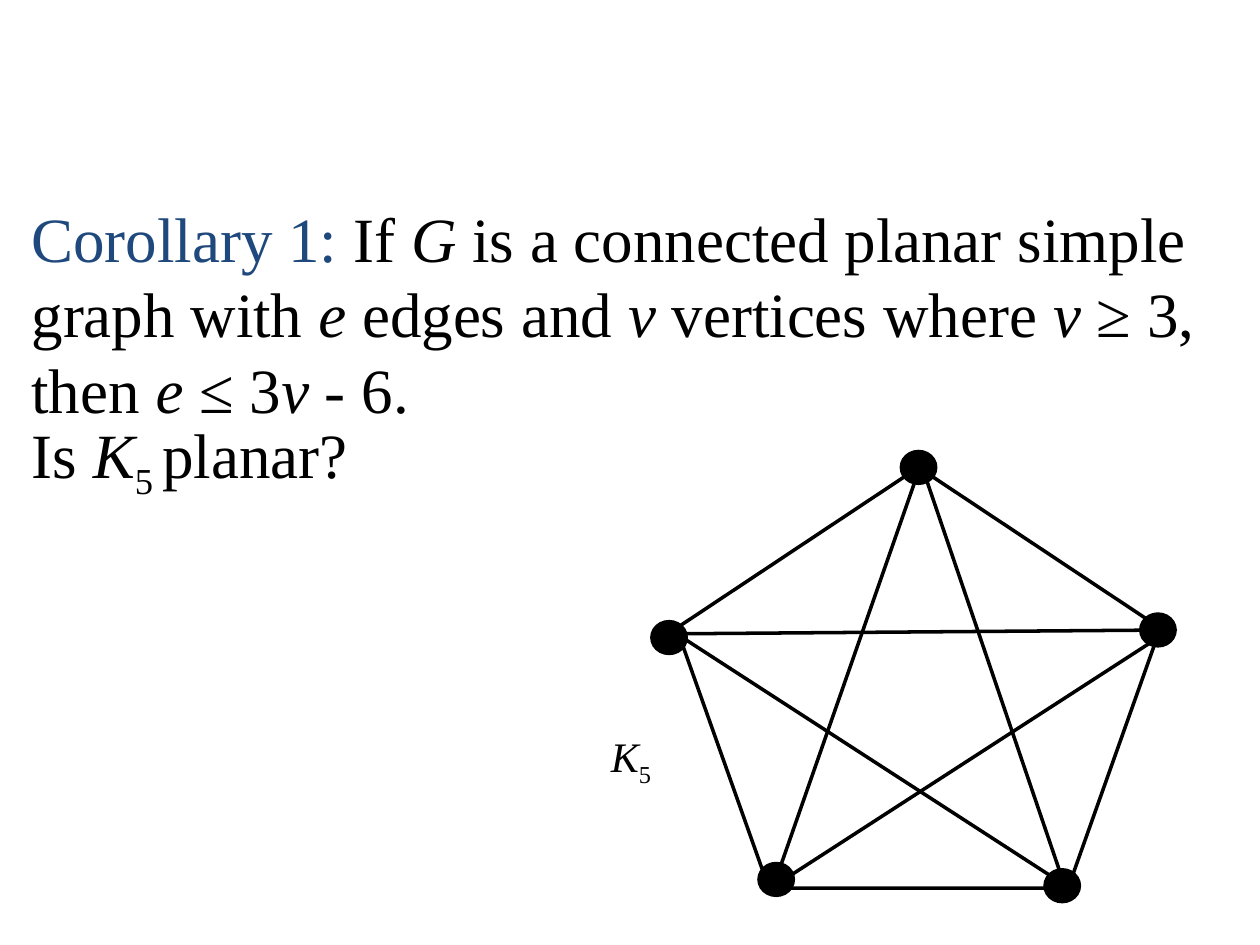
from pptx import Presentation, util as u
from pptx.dml.color import RGBColor
from pptx.enum import shapes, text
from pptx.oxml.ns import qn
from lxml import etree

COLOURS = {"ink": "000000", "heading": "1F497D"}
FONT = "Times New Roman"
WIDTH, HEIGHT = 10, 7.5


class Page:
    """Draws styled text, nodes and edges on one slide, in shares of its size."""

    def __init__(self, deck):
        self.deck = deck
        self.page = deck.slides.add_slide(deck.slide_layouts[6])

    def place(self, x, y):
        return int(self.deck.slide_width * x), int(self.deck.slide_height * y)

    def paint(self, line, width):
        line.color.rgb = RGBColor.from_string(COLOURS["ink"])
        line.width = u.Pt(width)

    def shape(self, kind, x, y, w, h, width, filled):
        shape = self.page.shapes.add_shape(kind, *self.place(x, y), *self.place(w, h))
        shape.shadow.inherit = False
        if filled:
            shape.fill.solid()
            shape.fill.fore_color.rgb = RGBColor.from_string(COLOURS["ink"])
        else:
            shape.fill.background()
        self.paint(shape.line, width)

    def node(self, x, y):
        w, h = 0.29 / WIDTH, 0.27 / HEIGHT
        self.shape(shapes.MSO_SHAPE.OVAL, x - w / 2, y - h / 2, w, h, 0.75, True)

    def edge(self, start, end):
        line = self.page.shapes.add_connector(
            shapes.MSO_CONNECTOR.STRAIGHT, *self.place(*start), *self.place(*end))
        self.paint(line.line, 2)
        etree.SubElement(line._element.spPr, qn("a:effectLst"))

    def label(self, x, y, w, h, paras, size, inset=None, pitch=None, before=0):
        box = self.page.shapes.add_textbox(*self.place(x, y), *self.place(w, h))
        frame = box.text_frame
        frame.word_wrap = True
        frame.auto_size = text.MSO_AUTO_SIZE.NONE
        if inset is not None:
            frame.margin_left = frame.margin_right = u.Inches(inset)
            frame.margin_top = frame.margin_bottom = u.Inches(inset)
        for index, spans in enumerate(paras):
            para = frame.paragraphs[0] if index == 0 else frame.add_paragraph()
            para.space_before = u.Pt(before)
            if pitch:
                para.line_spacing = u.Pt(pitch)
            for words, style in spans:
                self.span(para, words, style, size)

    def span(self, para, words, style, size):
        span = para.add_run()
        span.text = words
        span.font.name = FONT
        span.font.size = u.Pt(size)
        span.font.italic = style == "italic"
        colour = COLOURS["heading" if style == "heading" else "ink"]
        span.font.color.rgb = RGBColor.from_string(colour)
        if style == "sub":
            span._r.get_or_add_rPr().set("baseline", "-25000")


def share(x, y):
    return x / WIDTH, y / HEIGHT


def main():
    deck = Presentation()
    deck.slide_width, deck.slide_height = u.Inches(WIDTH), u.Inches(HEIGHT)
    page = Page(deck)

    corollary = [
        ("Corollary 1:", "heading"), (" If ", ""), ("G", "italic"),
        (" is a connected planar simple graph with ", ""), ("e", "italic"),
        (" edges and ", ""), ("v", "italic"), (" vertices where ", ""),
        ("v ", "italic"), ("≥ 3, then ", ""), ("e", "italic"),
        (" ≤ 3", ""), ("v", "italic"), (" - 6.", "")]
    question = [("Is ", ""), ("K", "italic"), ("5 ", "sub"), ("planar?", "")]
    page.label(*share(0.25, 1.58), *share(9.42, 2.42), [corollary, question],
               36, inset=0, pitch=43.2)

    page.shape(shapes.MSO_SHAPE.REGULAR_PENTAGON, *share(5.37, 3.71),
               *share(3.84, 3.34), 2, False)
    chords = [((5.37, 5.03), (8.46, 7.03)), ((5.4, 5.03), (9.27, 5)),
              ((7.29, 3.74), (6.13, 7.06)), ((7.32, 3.71), (8.46, 7.06)),
              ((9.24, 5.03), (6.07, 7.08))]
    for start, end in chords:
        page.edge(share(*start), share(*end))
    for centre in [(7.29, 3.71), (9.19, 5), (5.31, 5.06), (8.43, 7.03), (6.16, 6.98)]:
        page.node(*share(*centre))

    page.label(*share(4.75, 5.75), *share(0.83, 0.5),
               [[("K", "italic"), ("5", "sub")]], 24, before=12)
    deck.save("out.pptx")


if __name__ == "__main__":
    main()
